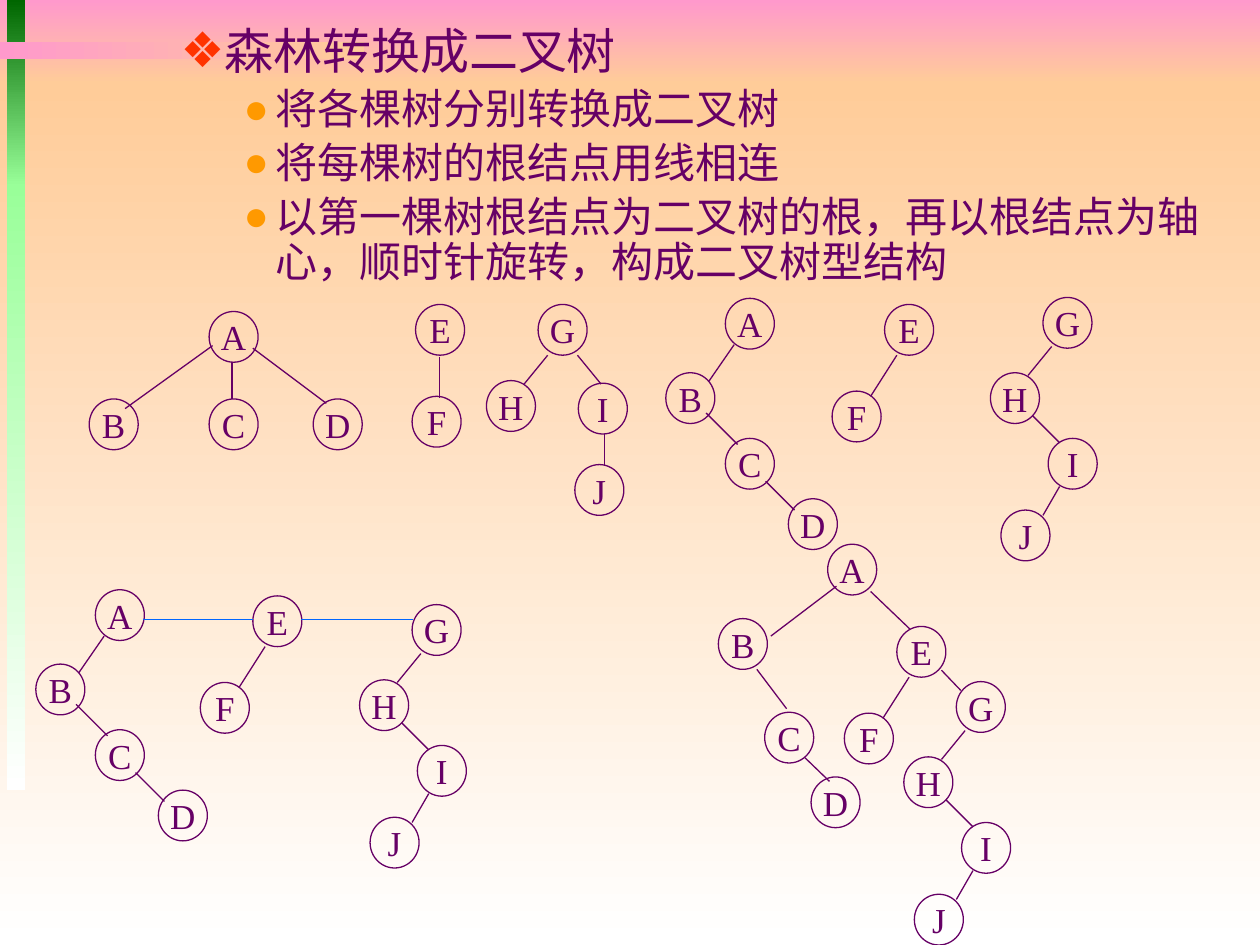
from typing import NamedTuple

from lxml.etree import SubElement
from pptx import Presentation
from pptx.dml.color import RGBColor
from pptx.enum.shapes import MSO_CONNECTOR, MSO_SHAPE
from pptx.enum.text import MSO_ANCHOR, MSO_AUTO_SIZE, PP_ALIGN
from pptx.oxml.ns import qn
from pptx.util import Pt

INK = {
    "text": "660066", "link": "0066FF", "star": "FF3300", "dot": "FF9900",
    "pink": "FF99CC", "peach": "FFCC99", "white": "FFFFFF",
    "dark": "006600", "green": "99FF99",
}
NODE_W, NODE_H = 28, 29


class Band(NamedTuple):
    x: float
    y: float
    w: float
    h: float
    start: str
    end: str
    angle: int = 270


class Item(NamedTuple):
    text: str
    level: int
    size: int
    left: int
    mark: str
    color: str
    gap: float


class Tree(NamedTuple):
    """Nodes (left, top) and edges (x1, y1, x2, y2), relative to the root."""
    nodes: dict[str, tuple[float, float]]
    edges: list[tuple[float, float, float, float]]


class Place(NamedTuple):
    tree: Tree
    x: float
    y: float


BANDS = [
    Band(0, 0, 720, 48, "pink", "peach"),
    Band(0, 48, 720, 492, "peach", "white"),
    Band(4, 0, 10.5, 106.5, "dark", "green"),
    Band(4, 105, 10.5, 346.5, "green", "white"),
    Band(0, 24, 208, 10, "pink", "peach", 0),
]

ITEMS = [Item("森林转换成二叉树", 1, 28, 90, "❖", "star", 0)] + [
    Item(text, 2, 24, 126, "●", "dot", 4.8) for text in (
        "将各棵树分别转换成二叉树",
        "将每棵树的根结点用线相连",
        "以第一棵树根结点为二叉树的根，再以根结点为轴心，顺时针旋转，构成二叉树型结构",
    )
]

# Trees of the forest
WIDE_A = Tree(
    {"A": (0, 0), "B": (-68.5, 50), "C": (0, 50), "D": (59.5, 50)},
    [(13, 29, 13, 50), (2, 19.5, -48, 55.5), (25, 21, 67, 52.5)])
WIDE_E = Tree({"E": (0, 0), "F": (-2, 52.5)}, [(13.5, 30, 13.5, 53.5)])
WIDE_G = Tree(
    {"G": (0, 0), "H": (-29.5, 43.5), "I": (23, 45), "J": (21, 91.5)},
    [(5.5, 29, -8, 45.5), (22.5, 29, 36, 45.5), (38, 74, 38, 91.5)])

# The same trees in binary form
BIN_A = Tree(
    {"A": (0, 0), "B": (-34, 42.5), "C": (0, 80), "D": (36, 114.5)},
    [(5, 26.5, -9.5, 47.5), (-11, 65.5, 7, 83.5), (23, 104.5, 39.5, 121)])
BIN_E = Tree({"E": (0, 0), "F": (-30, 49.5)}, [(7, 29, -8, 52.5)])
BIN_G = Tree(
    {"G": (0, 0), "H": (-30, 43), "I": (3, 80.5), "J": (-24, 121.5)},
    [(5, 28, -8.5, 44.5), (-6, 67.5, 9.5, 83), (9.5, 108, 0, 124.5)])

# Root of the final tree, with the edges A-E and E-G
FINAL_A = Tree(
    {"A": (0, 0), "B": (-62.5, 42.5), "C": (-36, 96), "D": (-9.5, 133)},
    [(5, 24, -32.5, 52.5), (-40.5, 71.5, -23.5, 94), (-13, 122, 1, 135.5),
     (24.5, 27, 47, 48.5), (65, 72, 76, 83.5)])

PLACES = [
    Place(WIDE_A, 119.5, 178), Place(WIDE_E, 237.5, 174), Place(WIDE_G, 307.5, 174),
    Place(BIN_A, 414.5, 170.5), Place(BIN_E, 505.5, 174), Place(BIN_G, 596, 170),
    Place(BIN_A, 54.5, 337), Place(BIN_E, 144.5, 340.5), Place(BIN_G, 235.5, 345.5),
    Place(FINAL_A, 473, 311), Place(BIN_E, 512.5, 358), Place(BIN_G, 546.5, 389.5),
]
LINKS = [(82, 354, 144.5, 354), (172, 354, 236, 354)]


def rgb(name: str) -> RGBColor:
    return RGBColor.from_string(INK[name])


def add_band(shapes, band: Band) -> None:
    shape = shapes.add_shape(MSO_SHAPE.RECTANGLE, *map(Pt, band[:4]))
    shape.shadow.inherit = False
    shape.line.fill.background()
    shape.fill.gradient()
    shape.fill.gradient_angle = band.angle
    for stop, name, pos in zip(shape.fill.gradient_stops, (band.start, band.end), (0, 1)):
        stop.color.rgb = rgb(name)
        stop.position = pos


def add_item(para, item: Item) -> None:
    para.text = item.text
    para.level = item.level
    para.line_spacing = 0.9
    para.space_before = Pt(item.gap)
    props = para._p.get_or_add_pPr()
    props.set("marL", str(Pt(item.left)))
    props.set("indent", str(Pt(-18)))
    tint = SubElement(props, qn("a:buClr"))
    SubElement(tint, qn("a:srgbClr"), val=INK[item.color])
    SubElement(props, qn("a:buFont"), typeface="Arial")
    SubElement(props, qn("a:buChar"), char=item.mark)
    para.font.size = Pt(item.size)
    para.font.name = "Arial"
    para.font.color.rgb = rgb("text")


def add_node(shapes, name: str, x: float, y: float) -> None:
    node = shapes.add_shape(MSO_SHAPE.OVAL, Pt(x), Pt(y), Pt(NODE_W), Pt(NODE_H))
    node.shadow.inherit = False
    node.fill.background()
    node.line.color.rgb = rgb("text")
    node.line.width = Pt(0.75)
    frame = node.text_frame
    frame.word_wrap = False
    frame.vertical_anchor = MSO_ANCHOR.MIDDLE
    para = frame.paragraphs[0]
    para.text = name
    para.alignment = PP_ALIGN.CENTER
    para.font.size = Pt(20)
    para.font.name = "Times New Roman"
    para.font.color.rgb = rgb("text")


def add_edge(shapes, ends: tuple[float, ...], color: str = "text") -> None:
    edge = shapes.add_connector(MSO_CONNECTOR.STRAIGHT, *map(Pt, ends))
    edge.line.color.rgb = rgb(color)
    edge.line.width = Pt(0.75)
    SubElement(edge._element.spPr, qn("a:effectLst"))


def add_tree(shapes, place: Place) -> None:
    tree, x, y = place
    for name, (dx, dy) in tree.nodes.items():
        add_node(shapes, name, x + dx, y + dy)
    for x1, y1, x2, y2 in tree.edges:
        add_edge(shapes, (x + x1, y + y1, x + x2, y + y2))


def main() -> None:
    deck = Presentation()
    deck.slide_width, deck.slide_height = Pt(720), Pt(540)
    slide = deck.slides.add_slide(deck.slide_layouts[1])
    shapes = slide.shapes
    tree = shapes._spTree
    tree.remove(shapes.title._element)
    body = slide.placeholders[1]

    # Backdrop, with the body text in front of it
    for band in BANDS:
        add_band(shapes, band)
    tree.append(body._element)

    # Body text
    body.left, body.top, body.width, body.height = map(Pt, (24, 12, 669.5, 155.5))
    frame = body.text_frame
    frame.auto_size = MSO_AUTO_SIZE.NONE
    for i, item in enumerate(ITEMS):
        add_item(frame.add_paragraph() if i else frame.paragraphs[0], item)

    # Trees and the links between their roots
    for place in PLACES:
        add_tree(shapes, place)
    for ends in LINKS:
        add_edge(shapes, ends, "link")

    deck.save("out.pptx")


if __name__ == "__main__":
    main()
